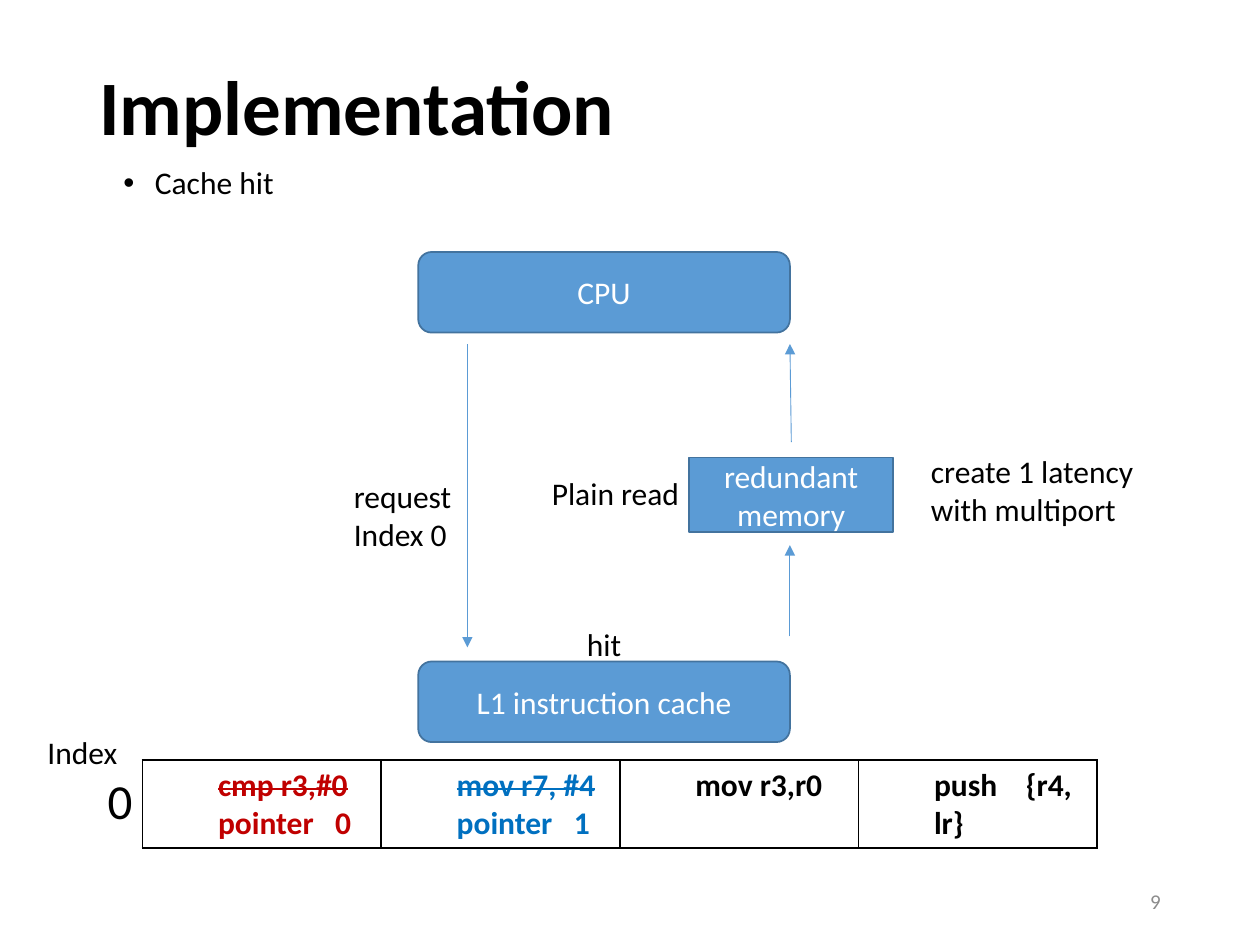
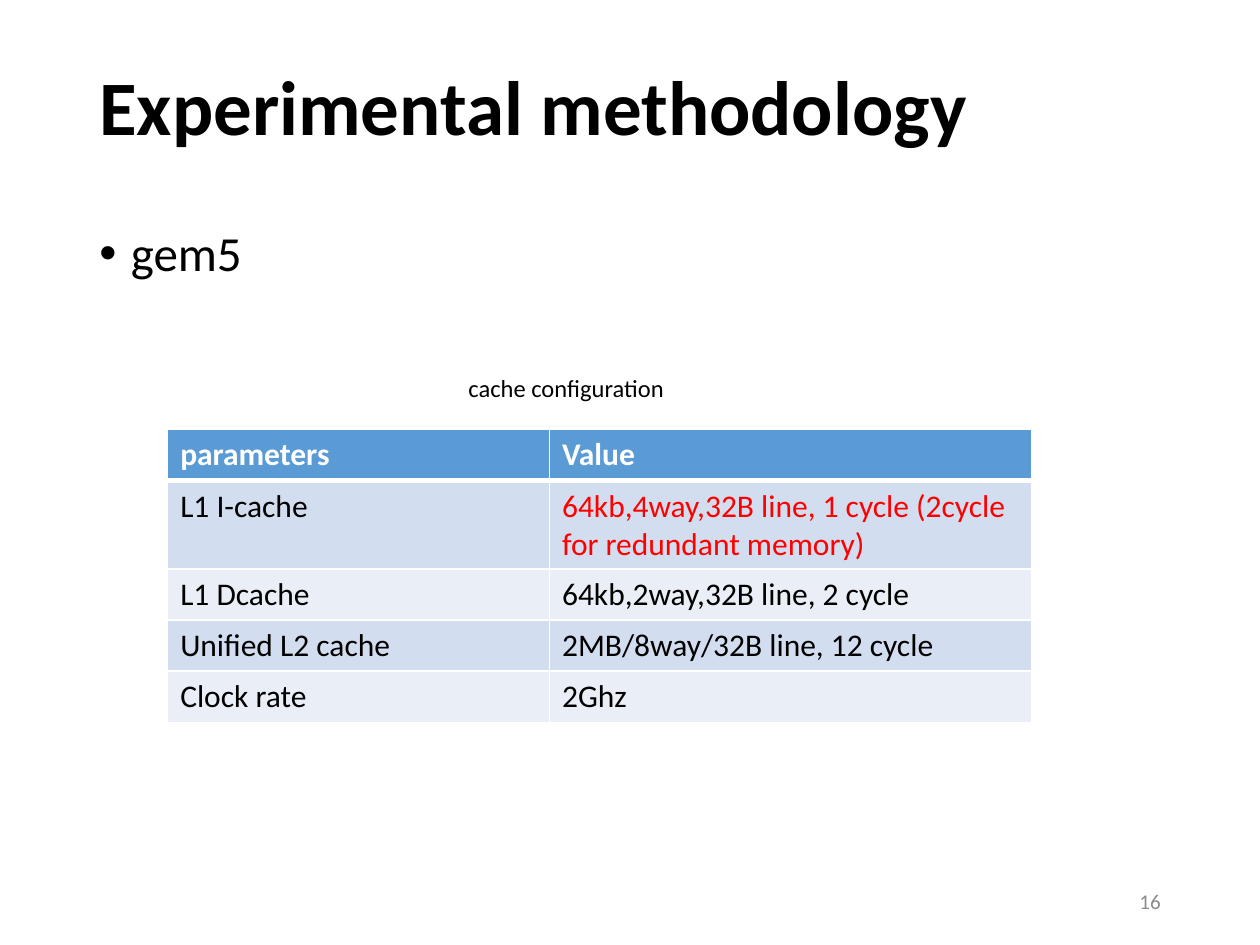
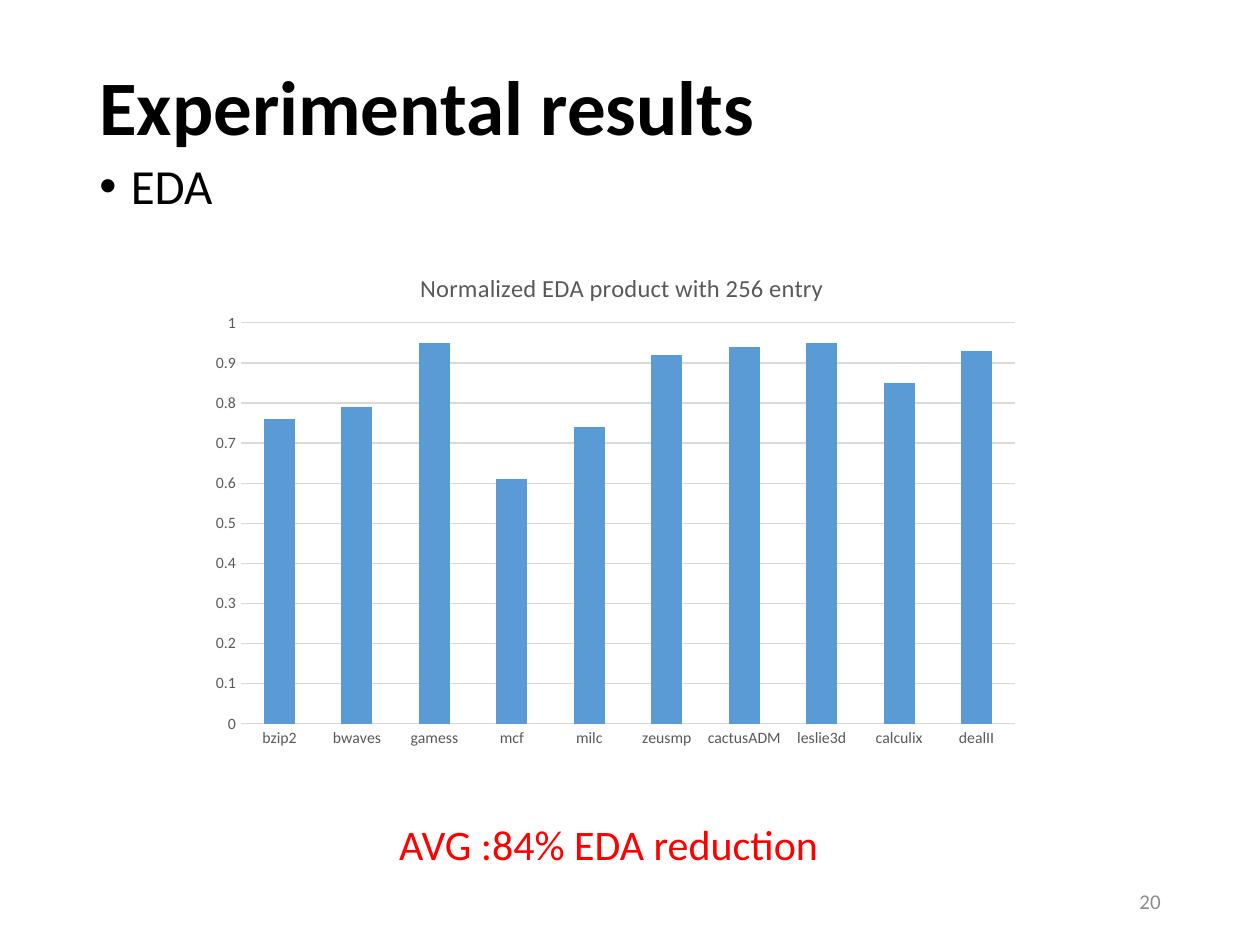
from lxml import etree
from pptx import Presentation
from pptx import util as u
from pptx.chart import data
from pptx.dml.color import RGBColor
from pptx.enum import chart as charts
from pptx.enum import shapes, text
from pptx.oxml import parse_xml
from pptx.oxml.ns import nsdecls, qn

FONT = "Calibri"
COLORS = {
    "black": "000000", "white": "FFFFFF", "blue": "5B9BD5", "outline": "43739E",
    "number": "8C8C8C", "red": "FF0000", "crimson": "C00000", "azure": "0070C0",
    "band_dark": "D2DEEF", "band_light": "EAEFF7", "axis": "595959", "grid": "D9D9D9",
}
RGB = {name: RGBColor.from_string(value) for name, value in COLORS.items()}
ALIGN = text.PP_ALIGN


def put_text(slide, content, place, size, color="black", align=ALIGN.LEFT,
             bold=False, wrap=False, middle=False, bullet=False, spacing=None):
    """Add a text box; every line of content becomes a paragraph."""
    frame = slide.shapes.add_textbox(*map(u.Pt, place)).text_frame
    frame.word_wrap = wrap
    if middle:
        frame.vertical_anchor = text.MSO_ANCHOR.MIDDLE
    frame.text = content
    for line in frame.paragraphs:
        if bullet:
            props = line._p.get_or_add_pPr()
            props.set("marL", str(u.Pt(18)))
            props.set("indent", str(u.Pt(-18)))
            props.append(parse_xml(f'<a:buFont {nsdecls("a")} typeface="Arial"/>'))
            props.append(parse_xml(f'<a:buChar {nsdecls("a")} char="•"/>'))
        line.alignment = align
        if spacing:
            line.line_spacing = spacing
        for run in line.runs:
            run.font.name, run.font.size, run.font.bold = FONT, u.Pt(size), bold
            run.font.color.rgb = RGB[color]
    return frame


def set_borders(cell, color, bottom=1):
    """Draw 1 pt borders round a cell, with a chosen bottom width."""
    for side, width in (("L", 1), ("R", 1), ("T", 1), ("B", bottom)):
        cell._tc.get_or_add_tcPr().append(parse_xml(
            f'<a:ln{side} {nsdecls("a")} w="{u.Pt(width)}"><a:solidFill>'
            f'<a:srgbClr val="{COLORS[color]}"/></a:solidFill></a:ln{side}>'))


deck = Presentation()
deck.slide_width, deck.slide_height = u.Pt(720), u.Pt(540)

# Shared: title, bullet and page number
pages = []
for title, number, topic, topic_place, topic_size in (
    ("Implementation", "9", "Cache hit", (63.4, 92.2, 655.9, 377.3), 18),
    ("Experimental methodology", "16", "gem5", (49.7, 127.4, 620.6, 373.7), 28),
    ("Experimental results", "20", "EDA", (49.7, 89.3, 620.6, 440), 28),
):
    page = deck.slides.add_slide(deck.slide_layouts[6])
    put_text(page, title, (49.7, 28.1, 620.6, 70.6), 44, bold=True, wrap=True,
             middle=True, spacing=0.9)
    put_text(page, topic, topic_place, topic_size, wrap=True, bullet=True, spacing=0.9)
    put_text(page, number, (508.3, 500.4, 162, 28.8), 12, "number", ALIGN.RIGHT,
             wrap=True, middle=True)
    pages.append(page)
implementation, methodology, results = pages

# Implementation: units
ROUNDED = shapes.MSO_SHAPE.ROUNDED_RECTANGLE
for label, kind, place in (
    ("L1 instruction cache", ROUNDED, (239, 378, 212.4, 46.1)),
    ("CPU", ROUNDED, (239, 144, 212.4, 46.1)),
    ("redundant memory", shapes.MSO_SHAPE.RECTANGLE, (393.8, 261.4, 116.6, 42.5)),
):
    unit = implementation.shapes.add_shape(kind, *map(u.Pt, place))
    unit.shadow.inherit = False
    unit.fill.solid()
    unit.fill.fore_color.rgb = RGB["blue"]
    unit.line.color.rgb = RGB["outline"]
    unit.line.width = u.Pt(1)
    unit.text_frame.text = label
    unit.text_frame.word_wrap = True
    unit.text_frame.vertical_anchor = text.MSO_ANCHOR.MIDDLE
    caption = unit.text_frame.paragraphs[0]
    caption.alignment = ALIGN.CENTER
    caption.font.name, caption.font.size = FONT, u.Pt(18)
    caption.font.color.rgb = RGB["white"]

# Implementation: request and reply arrows
for ends in ((267.1, 196.6, 267.1, 370), (451.4, 363.6, 451.4, 311.5),
             (452.2, 252.7, 451.4, 196.6)):
    flow = implementation.shapes.add_connector(
        shapes.MSO_CONNECTOR.STRAIGHT, *map(u.Pt, ends))
    flow.line.color.rgb = RGB["blue"]
    flow.line.width = u.Pt(0.5)
    flow.line._get_or_add_ln().append(
        parse_xml(f'<a:tailEnd {nsdecls("a")} type="triangle"/>'))
    etree.SubElement(flow._element.spPr, qn("a:effectLst"))

# Implementation: labels
for label, place in (
    ("request\nIndex 0", (195.1, 269.3, 70.6, 51.1)),
    ("create 1 latency\nwith multiport", (524.9, 254.9, 133.9, 51.1)),
    ("hit", (328.3, 353.5, 34.6, 28.8)),
    ("Plain read", (308.2, 267.1, 87.8, 28.8)),
):
    put_text(implementation, label, place, 18)
index = put_text(implementation, "Index\n0", (20, 415.4, 62.8, 63.4), 18, wrap=True)
index.paragraphs[1].alignment = ALIGN.RIGHT
index.paragraphs[1].runs[0].font.size = u.Pt(28)

# Implementation: cache line; each text has the extra width of its first space
cache_line = implementation.shapes.add_table(
    1, 4, u.Pt(81.4), u.Pt(434.2), u.Pt(545.6), u.Pt(50.4)).table
cache_line.first_row = cache_line.horz_banding = False
entries = (
    ("crimson", (("cmp r3,#0", True, 0), ("pointer 0", False, 8.1))),
    ("azure", (("mov r7, #4", True, 0), ("pointer 1", False, 8.1))),
    ("black", (("mov r3,r0", False, 0),)),
    ("black", (("push {r4, lr}", False, 12.2),)),
)
for cell, (color, lines) in zip(cache_line.rows[0].cells, entries):
    set_borders(cell, "black")
    cell.fill.background()
    for position, (words, struck, gap) in enumerate(lines):
        frame = cell.text_frame
        line = frame.add_paragraph() if position else frame.paragraphs[0]
        line._p.get_or_add_pPr().set("marL", str(u.Pt(36)))
        for piece in words.partition(" "):
            run = line.add_run()
            run.text = piece
            run.font.name, run.font.size, run.font.bold = FONT, u.Pt(18), True
            run.font.color.rgb = RGB[color]
            if struck:
                run._r.get_or_add_rPr().set("strike", "sngStrike")
            if gap and piece == " ":
                run._r.get_or_add_rPr().set("spc", str(round(gap * 100)))

# Methodology: cache configuration
put_text(methodology, "cache configuration", (260.6, 209.5, 127.4, 24.5), 14)
settings = (
    ("parameters", "Value"),
    ("L1 I-cache", "64kb,4way,32B line, 1 cycle (2cycle for redundant memory)"),
    ("L1 Dcache", "64kb,2way,32B line, 2 cycle"),
    ("Unified L2 cache", "2MB/8way/32B line, 12 cycle"),
    ("Clock rate", "2Ghz"),
)
configuration = methodology.shapes.add_table(
    5, 2, u.Pt(95.8), u.Pt(245.5), u.Pt(494), u.Pt(167.2)).table
configuration.columns[0].width = u.Pt(218.2)
configuration.columns[1].width = u.Pt(275.8)
for row, values in enumerate(settings):
    configuration.rows[row].height = u.Pt(50.4 if row == 1 else 29.2)
    band = "blue" if row == 0 else ("band_light", "band_dark")[row % 2]
    for column, value in enumerate(values):
        cell = configuration.cell(row, column)
        set_borders(cell, "white", bottom=3 if row == 0 else 1)
        cell.fill.solid()
        cell.fill.fore_color.rgb = RGB[band]
        cell.text_frame.text = value
        font = cell.text_frame.paragraphs[0].runs[0].font
        font.name, font.size, font.bold = FONT, u.Pt(18), row == 0
        font.color.rgb = RGB["white" if row == 0 else
                             "red" if (row, column) == (1, 1) else "black"]

# Results: EDA chart
products = data.CategoryChartData()
products.categories = ["bzip2", "bwaves", "gamess", "mcf", "milc", "zeusmp",
                       "cactusADM", "leslie3d", "calculix", "dealII"]
products.add_series("Series 1", (0.76, 0.79, 0.95, 0.61, 0.74, 0.92, 0.94, 0.95, 0.85, 0.93))
eda = results.shapes.add_chart(
    charts.XL_CHART_TYPE.COLUMN_CLUSTERED, u.Pt(113.8), u.Pt(140.4), u.Pt(475.9),
    u.Pt(293.8), products).chart
eda.has_legend = False
eda.font.name, eda.font.size = FONT, u.Pt(10)
eda.has_title = True
eda.chart_title.text_frame.text = "Normalized EDA product with 256 entry"
heading = eda.chart_title.text_frame.paragraphs[0].runs[0].font
heading.name, heading.size, heading.bold = FONT, u.Pt(14), False
heading.color.rgb = RGB["axis"]
bars = eda.plots[0]
bars.gap_width = 150
bars.vary_by_categories = False
bars.series[0].format.fill.solid()
bars.series[0].format.fill.fore_color.rgb = RGB["blue"]
programs, scale = eda.category_axis, eda.value_axis
for axis in (programs, scale):
    axis.major_tick_mark = axis.minor_tick_mark = charts.XL_TICK_MARK.NONE
    axis.tick_labels.font.name, axis.tick_labels.font.size = FONT, u.Pt(9)
    axis.tick_labels.font.color.rgb = RGB["axis"]
scale.minimum_scale, scale.maximum_scale, scale.major_unit = 0, 1, 0.1
scale.tick_labels.number_format = "General"
scale.tick_labels.number_format_is_linked = False
scale.format.line.fill.background()
for rule in (programs.format.line, scale.major_gridlines.format.line):
    rule.color.rgb = RGB["grid"]
    rule.width = u.Pt(0.75)

# Results: fixed places of the chart title and the plot
title_layout = parse_xml(
    f'<c:layout {nsdecls("c")}><c:manualLayout><c:xMode val="edge"/><c:yMode val="edge"/>'
    '<c:x val="0.26"/><c:y val="0.04"/></c:manualLayout></c:layout>')
plot_layout = parse_xml(
    f'<c:layout {nsdecls("c")}><c:manualLayout><c:layoutTarget val="inner"/>'
    '<c:xMode val="edge"/><c:yMode val="edge"/><c:x val="0.05"/><c:y val="0.15"/>'
    '<c:w val="0.93"/><c:h val="0.78"/></c:manualLayout></c:layout>')
title_part = eda.chart_title._element
plot_part = eda._chartSpace.chart.plotArea
for part in (title_part, plot_part):
    for automatic in part.findall(qn("c:layout")):
        part.remove(automatic)
title_part.find(qn("c:tx")).addnext(title_layout)
plot_part.insert(0, plot_layout)

# Results: summary
put_text(results, "AVG :84% EDA reduction", (221, 464.4, 261.4, 36), 24, "red")

deck.save("out.pptx")
